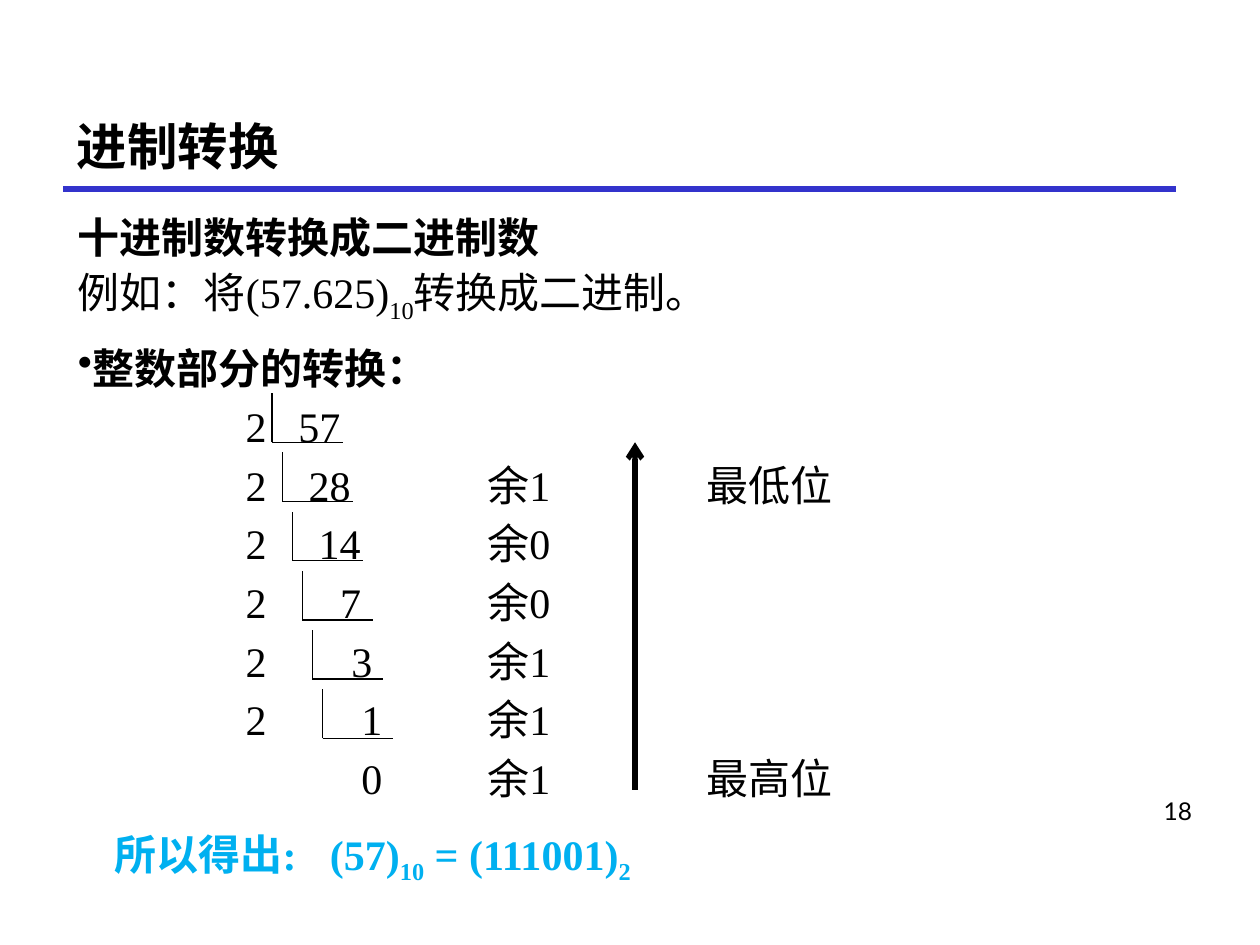
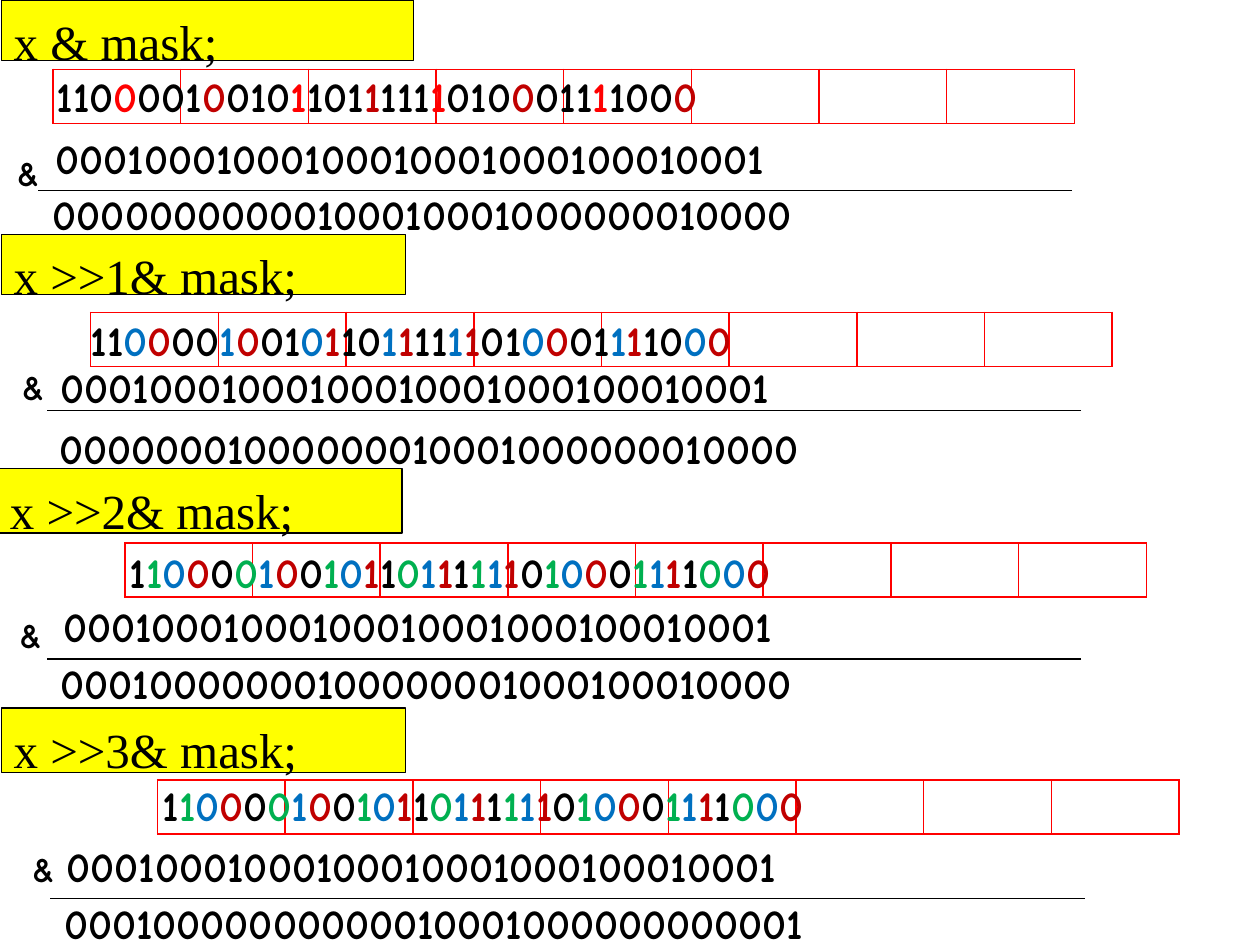
from dataclasses import dataclass
from itertools import cycle, groupby

from lxml import etree
from pptx import Presentation
from pptx.dml.color import RGBColor
from pptx.enum.shapes import MSO_CONNECTOR as Connector, MSO_SHAPE as Shape
from pptx.enum.text import MSO_ANCHOR as Anchor, MSO_AUTO_SIZE as AutoSize, PP_ALIGN as Align
from pptx.oxml.ns import qn
from pptx.util import Inches, Pt


@dataclass(frozen=True)
class Theme:
    black: str = "000000"
    rule: str = "3333CC"
    answer: str = "00B0F0"
    label: str = "FFFF00"
    bright_red: str = "FF0000"
    red: str = "C00000"
    blue: str = "0070C0"
    green: str = "00B050"
    serif: str = "Times New Roman"
    cjk: str = "Noto Sans CJK SC"
    rounded: str = "Comic Neue"
    sans: str = "Lato"
    title_size: float = 28.8
    label_size: float = 28
    body_size: float = 24
    operator_size: float = 20
    number_size: float = 14


T = Theme()


@dataclass(frozen=True)
class Step:
    """One shift-and-mask step; places are (left, top) from the slide's left and the step's top."""
    shift: int
    top: float
    label: tuple
    grid: tuple
    word: tuple
    mask: tuple
    rule: tuple
    result: tuple
    operator: tuple
    tones: tuple


WORD = "11000010010110111111010001111000"
MASK = "0001" * 8
ROW_SIZE = (8.11, 0.51)
ALTERNATING = (T.black,) * 3 + (T.bright_red,) + (T.black,) * 3 + (T.red,)
TWO_TONES = (T.black, T.black, T.blue, T.red)
THREE_TONES = (T.black, T.green, T.blue, T.red)
STEPS = [
    Step(0, 0, (0.01, 3.27, 0.48), (0.42, 0.55), (0.4, 0.51), (0.39, 1),
         (0.3, 1.51), (0.37, 1.45), (0.07, 1.15), ALTERNATING),
    Step(1, 1.86, (0.01, 3.21, 0.48), (0.72, 0.62), (0.67, 0.59), (0.43, 0.96),
         (0.37, 1.4), (0.42, 1.44), (0.11, 0.99), TWO_TONES),
    Step(2, 3.72, (-0.02, 3.21, 0.51), (0.99, 0.59), (0.98, 0.57), (0.45, 1),
         (0.37, 1.51), (0.43, 1.45), (0.09, 1.1), THREE_TONES),
    Step(3, 5.62, (0.01, 3.21, 0.51), (1.25, 0.57), (1.24, 0.52), (0.48, 1),
         (0.4, 1.51), (0.46, 1.45), (0.19, 1.06), THREE_TONES),
]

# Position of the quotient, then the cells of each division row
DIVISIONS = [
    (1.75, ("2", "57")),
    (1.83, ("2", "28", "余1", "最低位")),
    (1.91, ("2", "14", "余0")),
    (2.08, ("2", "7", "余0")),
    (2.17, ("2", "3", "余1")),
    (2.25, ("2", "1", "余1")),
    (2.25, ("", "0", "余1", "最高位")),
]


def add_run(paragraph, text, size, font, color=T.black, bold=False, subscript=False):
    run = paragraph.add_run()
    run.text = text
    run.font.size = Pt(size)
    run.font.bold = bold
    run.font.name = font
    run.font.color.rgb = RGBColor.from_string(color)
    properties = run.font._element
    etree.SubElement(properties, qn("a:ea")).set("typeface", T.cjk)
    if subscript:
        properties.set("baseline", "-25000")


def add_text_box(slide, left, top, width, height, inset=None, wrap=True):
    box = slide.shapes.add_textbox(Inches(left), Inches(top), Inches(width), Inches(height))
    frame = box.text_frame
    frame.word_wrap = wrap
    if inset is not None:
        frame.margin_left = frame.margin_right = Inches(inset)
        frame.margin_top = frame.margin_bottom = Inches(inset)
    return frame


def add_line(slide, start, end, width=0.75, color=T.black, arrow=False):
    line = slide.shapes.add_connector(Connector.STRAIGHT, *map(Inches, start + end))
    line.line.width = Pt(width)
    line.line.color.rgb = RGBColor.from_string(color)
    if arrow:
        etree.SubElement(line.line._get_or_add_ln(), qn("a:tailEnd")).set("type", "arrow")
    etree.SubElement(line._element.spPr, qn("a:effectLst"))


def set_tabs(paragraph, stops):
    tabs = etree.SubElement(paragraph._p.get_or_add_pPr(), qn("a:tabLst"))
    for stop in stops:
        etree.SubElement(tabs, qn("a:tab"), pos=str(Inches(stop)), algn="l")


def set_bullet(paragraph):
    properties = paragraph._p.get_or_add_pPr()
    properties.set("marL", "0")
    properties.set("indent", "0")
    etree.SubElement(properties, qn("a:buChar")).set("char", "•")


def add_heading(slide, text):
    title = slide.shapes.title
    title.left, title.top, title.width, title.height = map(Inches, (0.51, 0.68, 9.27, 0.71))
    frame = title.text_frame
    frame.auto_size = AutoSize.NONE
    frame.vertical_anchor = Anchor.MIDDLE
    paragraph = frame.paragraphs[0]
    paragraph.alignment = Align.LEFT
    paragraph.line_spacing = 1.5
    add_run(paragraph, text, T.title_size, T.rounded, bold=True)
    add_line(slide, (0.5, 1.5), (9.33, 1.5), 3, T.rule)


def add_page_number(slide, number):
    paragraph = add_text_box(slide, 8.89, 6.27, 0.67, 0.57).paragraphs[0]
    paragraph.alignment = Align.RIGHT
    add_run(paragraph, number, T.number_size, T.sans)


def add_conversion_text(slide, left, top, width, height):
    frame = add_text_box(slide, left, top, width, height)

    def add_paragraph(parts, line, before, stops=(), bullet=False, **style):
        """Each part is a (text, is subscript) pair."""
        first = frame.paragraphs[0]
        paragraph = frame.add_paragraph() if first.runs else first
        paragraph.alignment = Align.JUSTIFY
        paragraph.line_spacing = Pt(line)
        paragraph.space_before = Pt(before)
        if bullet:
            set_bullet(paragraph)
        if stops:
            set_tabs(paragraph, stops)
        for text, subscript in parts:
            add_run(paragraph, text, T.body_size, T.serif, subscript=subscript, **style)

    add_paragraph([("十进制数转换成二进制数", False)], 32.5, 0, bold=True)
    add_paragraph([("例如：将(57.625)", False), ("10", True), ("转换成二进制。", False)], 32.5, 3)
    add_paragraph([("整数部分的转换：", False)], 32.5, 6.5, bullet=True, bold=True)
    for quotient, cells in DIVISIONS:
        row = "\t" + "\t".join(cells)
        add_paragraph([(row, False)], 28.7, 4.8, stops=(1.33, quotient, 3.25, 4.99))
    add_paragraph([("\t所以得出:\t(57)", False), ("10", True), (" = (111001)", False), ("2", True)],
                  29.4, 18, stops=(0.29, 2), bold=True, color=T.answer)


def add_division_brackets(slide, left, top):
    for row in range(6):
        x, y = left + 0.08 * row, top + 0.47 * row
        corner = (x, y + 0.39)
        add_line(slide, corner, (x + 0.56, y + 0.39))
        add_line(slide, corner, (x, y))


def build_conversion_slide(deck):
    slide = deck.slides.add_slide(deck.slide_layouts[5])
    add_heading(slide, "进制转换")
    add_conversion_text(slide, 0.52, 1.58, 8.82, 5.75)
    add_page_number(slide, "18")
    add_division_brackets(slide, 2.16, 3.12)
    add_line(slide, (5.04, 6.27), (5.04, 3.51), 3, arrow=True)


def add_nibble_grid(slide, left, top):
    frame = slide.shapes.add_table(1, 8, Inches(left), Inches(top), Inches(8.11), Inches(0.43))
    grid = frame.table
    grid.first_row = grid.horz_banding = False
    for cell in grid.iter_cells():
        cell.fill.background()
        properties = cell._tc.get_or_add_tcPr()
        for position, side in enumerate(("lnL", "lnR", "lnT", "lnB")):
            border = etree.Element(qn(f"a:{side}"), w=str(Pt(1)))
            fill = etree.SubElement(border, qn("a:solidFill"))
            etree.SubElement(fill, qn("a:srgbClr")).set("val", T.bright_red)
            properties.insert(position, border)


def add_bits(slide, left, top, bits, tones=(T.black,)):
    paragraph = add_text_box(slide, left, top, *ROW_SIZE, inset=0.05).paragraphs[0]
    paragraph.alignment = Align.JUSTIFY
    for tone, group in groupby(zip(bits, cycle(tones)), key=lambda pair: pair[1]):
        text = "".join(bit for bit, _ in group)
        add_run(paragraph, text, T.body_size, T.rounded, tone, bold=True)


def add_step_label(slide, left, top, width, height, text):
    label = slide.shapes.add_shape(Shape.RECTANGLE, *map(Inches, (left, top, width, height)))
    label.shadow.inherit = False
    label.fill.solid()
    label.fill.fore_color.rgb = RGBColor.from_string(T.label)
    label.line.color.rgb = RGBColor.from_string(T.black)
    label.line.width = Pt(0.75)
    frame = label.text_frame
    frame.vertical_anchor = Anchor.TOP
    frame.margin_top = Inches(0.09)
    paragraph = frame.paragraphs[0]
    paragraph.alignment = Align.LEFT
    add_run(paragraph, text, T.label_size, T.serif)


def add_operator(slide, left, top):
    paragraph = add_text_box(slide, left, top, 0.29, 0.44, inset=0.05, wrap=False).paragraphs[0]
    paragraph.alignment = Align.RIGHT
    add_run(paragraph, "&", T.operator_size, T.rounded, bold=True)


def add_mask_step(slide, step):
    def place(offset):
        return offset[0], step.top + offset[1]

    label_left, label_width, label_height = step.label
    shift = f">>{step.shift}" if step.shift else " "
    text = f"x {shift}& mask;" if step.shift else "x & mask;"
    result = f"{int(WORD, 2) >> step.shift & int(MASK, 2):032b}"
    rule_left, rule_top = place(step.rule)

    add_nibble_grid(slide, *place(step.grid))
    add_bits(slide, *place(step.word), WORD, step.tones)
    add_bits(slide, *place(step.mask), MASK)
    add_line(slide, (rule_left + 8.21, rule_top), (rule_left, rule_top))
    add_bits(slide, *place(step.result), result)
    add_step_label(slide, label_left, step.top, label_width, label_height, text)
    add_operator(slide, *place(step.operator))


def build_mask_slide(deck):
    slide = deck.slides.add_slide(deck.slide_layouts[6])
    for step in STEPS:
        add_mask_step(slide, step)


def main():
    deck = Presentation()
    deck.slide_width, deck.slide_height = Inches(10), Inches(7.5)
    build_conversion_slide(deck)
    build_mask_slide(deck)
    deck.save("out.pptx")


if __name__ == "__main__":
    main()
